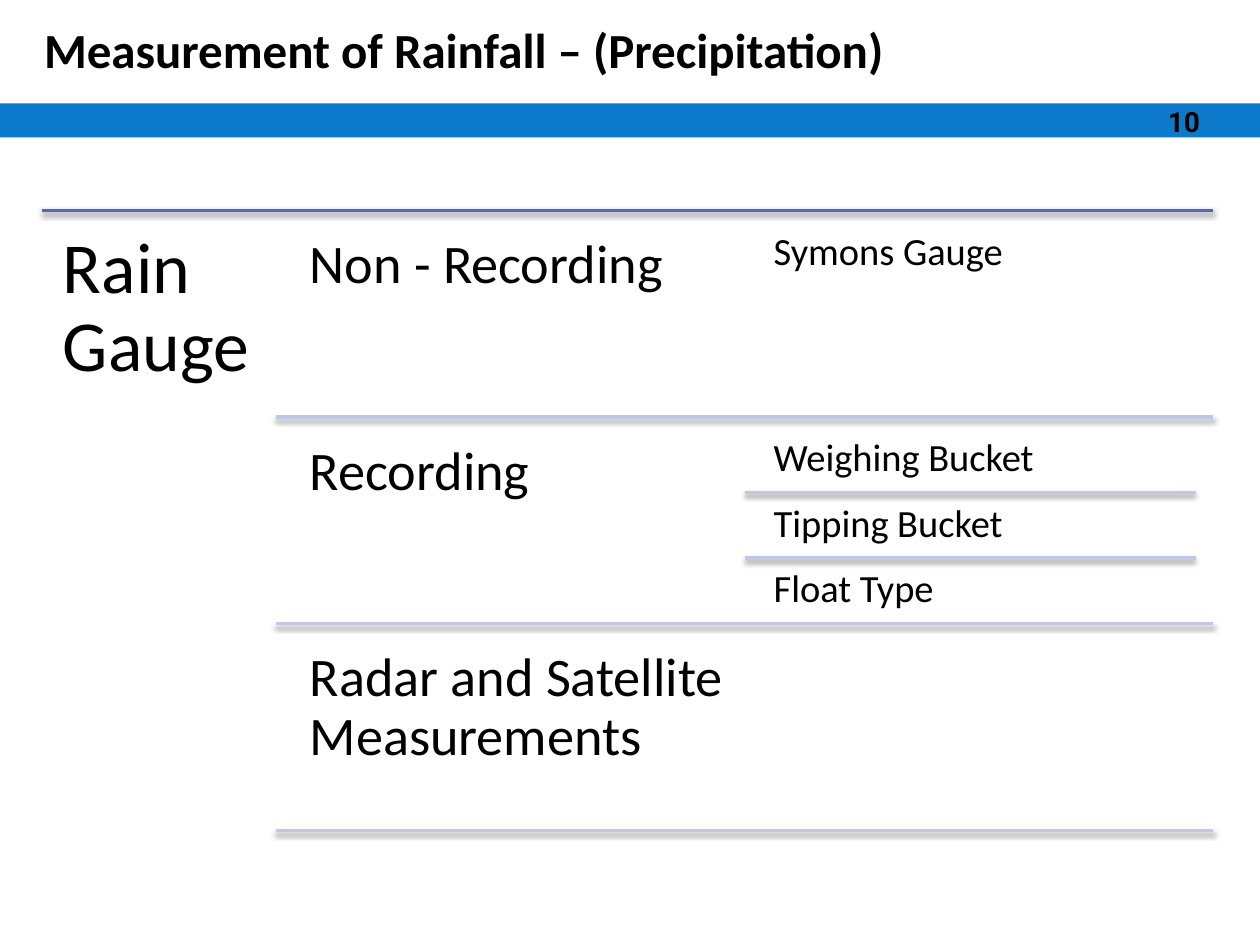
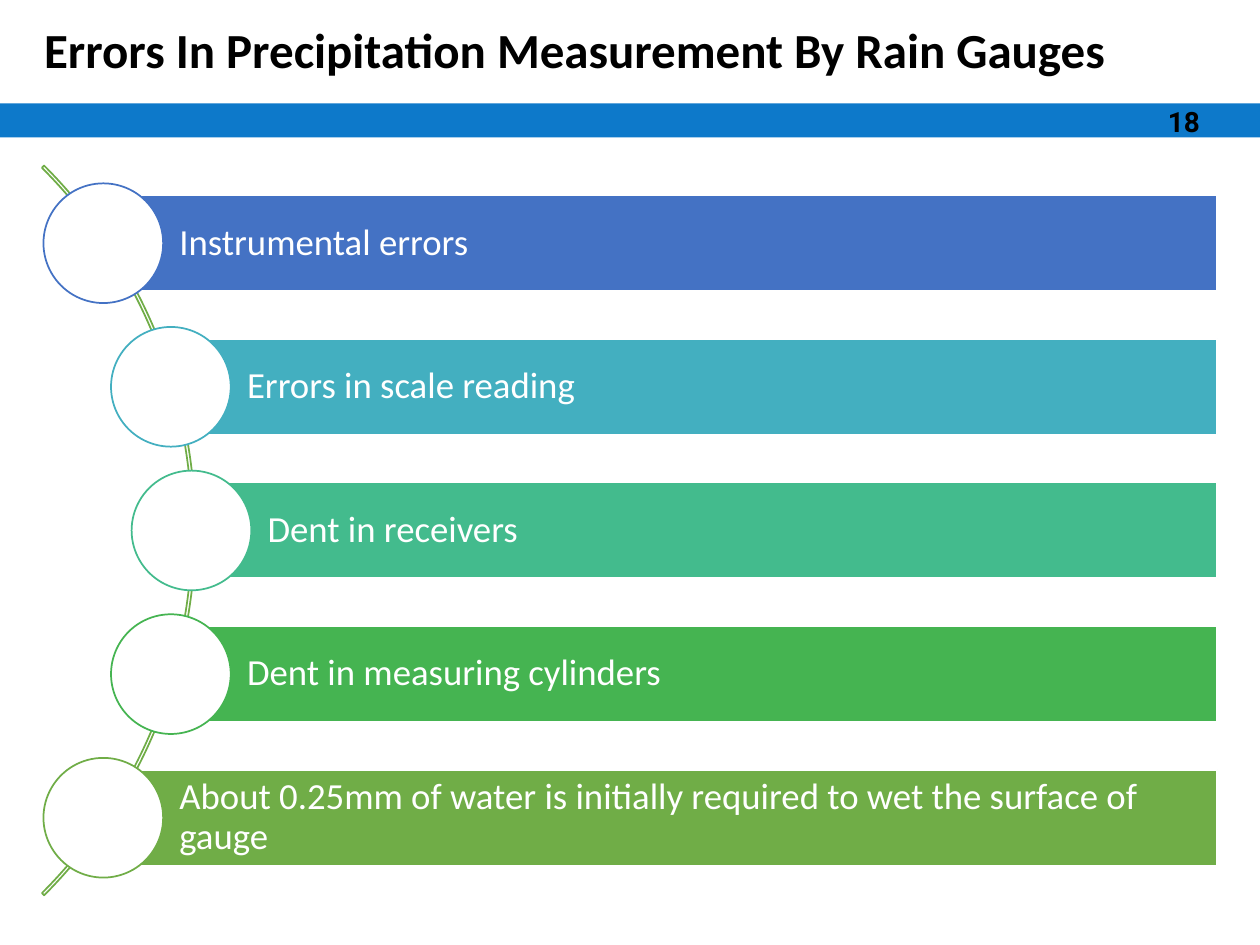
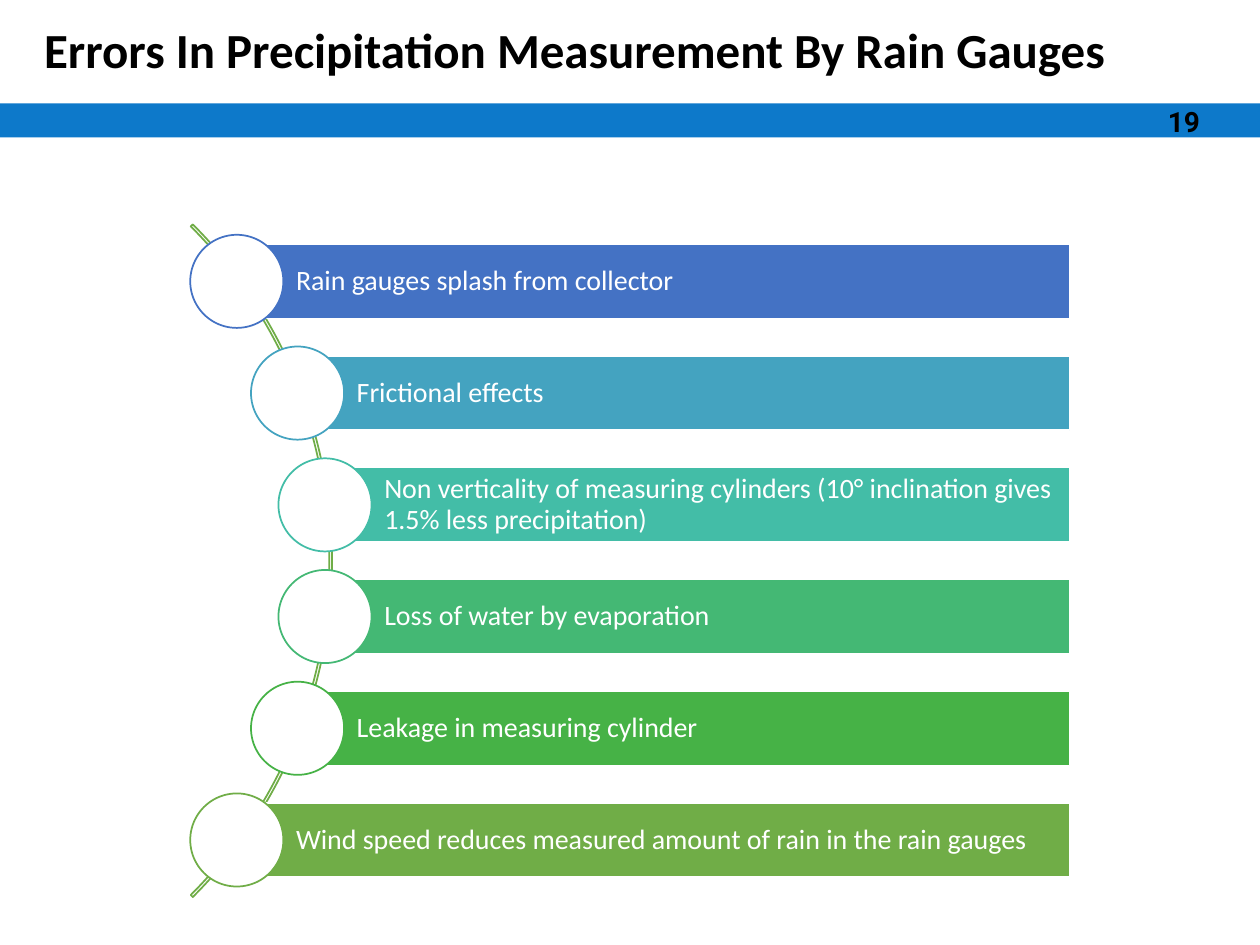
from math import cos, pi, sqrt

from lxml import etree
from pptx import Presentation
from pptx.dml.color import RGBColor
from pptx.enum import shapes, text
from pptx.oxml import ns
from pptx.util import Inches, Pt

BLACK, WHITE = "000000", "FFFFFF"
BAND, TOP_RULE, RULE, ARC = "0D79CA", "4E67C8", "C2C7E6", "70AD47"
BODY_FONT, NUMBER_FONT = "Calibri", "Roboto"

RAIN_GAUGES = [
    ("Non - Recording", ["Symons Gauge"]),
    ("Recording", ["Weighing Bucket", "Tipping Bucket", "Float Type"]),
    ("Radar and Satellite Measurements", []),
]
ERRORS_TITLE = "Errors In Precipitation Measurement By Rain Gauges"
READING_ERRORS = [
    ("Instrumental errors", "4472C4"),
    ("Errors in scale reading", "43AFC0"),
    ("Dent in receivers", "43BB8D"),
    ("Dent in measuring cylinders", "45B451"),
    ("About 0.25mm of water is initially required to wet the surface of gauge", "70AD47"),
]
COLLECTION_ERRORS = [
    ("Rain gauges splash from collector", "4472C4"),
    ("Frictional effects", "44A3C0"),
    ("Non verticality of measuring cylinders (10° inclination gives "
     "1.5% less precipitation)", "43BDA7"),
    ("Loss of water by evaporation", "44B874"),
    ("Leakage in measuring cylinder", "46B246"),
    ("Wind speed reduces measured amount of rain in the rain gauges", "70AD47"),
]


# Shared helpers
def rgb(value):
    return RGBColor.from_string(value)


def inches(*lengths):
    return [Inches(length) for length in lengths]


def write(frame, words, size, color=BLACK, font=BODY_FONT, bold=False,
          insets=(0.1, 0.05, 0.1, 0.05), anchor=text.MSO_ANCHOR.TOP, spacing=None):
    frame.text = words
    frame.word_wrap = True
    frame.auto_size = text.MSO_AUTO_SIZE.NONE
    frame.vertical_anchor = anchor
    (frame.margin_left, frame.margin_top,
     frame.margin_right, frame.margin_bottom) = inches(*insets)
    paragraph = frame.paragraphs[0]
    paragraph.alignment = text.PP_ALIGN.LEFT
    paragraph.line_spacing = spacing
    paragraph.font.name = font
    paragraph.font.size = Pt(size)
    paragraph.font.bold = bold
    paragraph.font.color.rgb = rgb(color)


def add_label(slide, box, words, size, **style):
    label = slide.shapes.add_textbox(*inches(*box))
    write(label.text_frame, words, size, **style)


def add_outline(slide, kind, box, fill=None, line=None):
    outline = slide.shapes.add_shape(kind, *inches(*box))
    outline.shadow.inherit = False
    if fill:
        outline.fill.solid()
        outline.fill.fore_color.rgb = rgb(fill)
    else:
        outline.fill.background()
    if line:
        outline.line.color.rgb = rgb(line)
        outline.line.width = Pt(1)
    else:
        outline.line.fill.background()
    return outline


def add_rule(slide, left, right, y, color=RULE):
    rule = slide.shapes.add_connector(
        shapes.MSO_CONNECTOR.STRAIGHT, *inches(left, y, right, y))
    rule.line.color.rgb = rgb(color)
    rule.line.width = Pt(2)
    effects = etree.SubElement(rule.element.spPr, ns.qn("a:effectLst"))
    shadow = etree.SubElement(
        effects, ns.qn("a:outerShdw"), blurRad=str(Pt(3.1)), dist=str(Pt(1.6)),
        dir="5400000", rotWithShape="0")
    shade = etree.SubElement(shadow, ns.qn("a:srgbClr"), val=BLACK)
    etree.SubElement(shade, ns.qn("a:alpha"), val="38000")


# Title, band and slide number
def add_band(layout, slide):
    band = add_outline(slide, shapes.MSO_SHAPE.RECTANGLE, (0, 0.82, 10, 0.27), BAND)
    layout.shapes.element.insert(2, band.element)


def add_titled_slide(prs, heading, number):
    slide = prs.slides.add_slide(prs.slide_layouts[5])
    if len(prs.slides) == 1:
        add_band(slide.slide_layout, slide)
    title = slide.shapes.title
    title.left, title.top, title.width, title.height = inches(0.25, 0.07, 9.58, 0.64)
    write(title.text_frame, heading, 28, bold=True, anchor=text.MSO_ANCHOR.MIDDLE)
    add_label(slide, (9.17, 0.75, 0.83, 0.42), str(number), 16, font=NUMBER_FONT,
              bold=True, anchor=text.MSO_ANCHOR.MIDDLE)
    return slide


# Ruled hierarchy: root, groups, types
def add_hierarchy(slide, box, root, groups):
    left, top, width, height = box
    right = left + width
    root_width, column_width, gap = 1.86, 3.58, 0.14
    group_left = left + root_width + gap
    type_left = group_left + column_width + gap
    pad = 0.08
    pitch = (height - pad) / len(groups)
    group_height = pitch - pad
    type_height = group_height / max(len(types) for _, types in groups)

    add_rule(slide, left, right, top, TOP_RULE)
    add_label(slide, (left, top, root_width, height), root, 41,
              insets=[0.17] * 4, spacing=0.9)
    for row, (group, types) in enumerate(groups):
        group_top = top + pad + row * pitch
        add_label(slide, (group_left, group_top, column_width, group_height), group, 31,
                  insets=[0.13] * 4, spacing=0.9)
        for index, gauge_type in enumerate(types):
            type_top = group_top + index * type_height
            if index:
                add_rule(slide, type_left - gap, type_left - gap + column_width, type_top)
            add_label(slide, (type_left, type_top, column_width, type_height),
                      gauge_type, 22, insets=[0.09] * 4, spacing=0.9)
        add_rule(slide, left + root_width, right, group_top + group_height)


# Bars whose round nodes follow an arc
def add_arc_list(slide, box, diameter, size, errors):
    left, top, width, height = box
    radius = diameter / 2
    center_x = left - radius * cos(pi / 4)
    center_y = top + height / 2
    pitch = height / len(errors)
    bar_height, node = pitch * 2 / 3, pitch * 5 / 6
    inset = 0.05 * pitch

    arc = add_outline(slide, shapes.MSO_SHAPE.BLOCK_ARC,
                      (center_x - radius, center_y - radius, diameter, diameter), line=ARC)
    for index, value in enumerate((189, 27, 0.003)):
        arc.adjustments[index] = value

    for row, (error, color) in enumerate(errors):
        node_y = top + (row + 0.5) * pitch
        node_x = center_x + sqrt((radius - 0.03) ** 2 - (node_y - center_y) ** 2)
        bar = add_outline(
            slide, shapes.MSO_SHAPE.RECTANGLE,
            (node_x, node_y - bar_height / 2, left + width - node_x, bar_height),
            color, WHITE)
        write(bar.text_frame, error, size, WHITE, spacing=0.9,
              insets=(0.53 * pitch, inset, inset, inset), anchor=text.MSO_ANCHOR.MIDDLE)
        add_outline(slide, shapes.MSO_SHAPE.OVAL,
                    (node_x - node / 2, node_y - node / 2, node, node), WHITE, color)


def main():
    prs = Presentation()
    prs.slide_width, prs.slide_height = inches(10, 7.5)

    slide = add_titled_slide(prs, "Measurement of Rainfall – (Precipitation)", 10)
    add_hierarchy(slide, (0.33, 1.67, 9.3, 5), "Rain Gauge", RAIN_GAUGES)

    slide = add_titled_slide(prs, ERRORS_TITLE, 18)
    add_arc_list(slide, (0.35, 1.36, 9.31, 5.7), 8.19, 21, READING_ERRORS)

    slide = add_titled_slide(prs, ERRORS_TITLE, 19)
    add_arc_list(slide, (1.53, 1.79, 6.96, 5.32), 7.55, 16, COLLECTION_ERRORS)

    prs.save("out.pptx")


if __name__ == "__main__":
    main()
